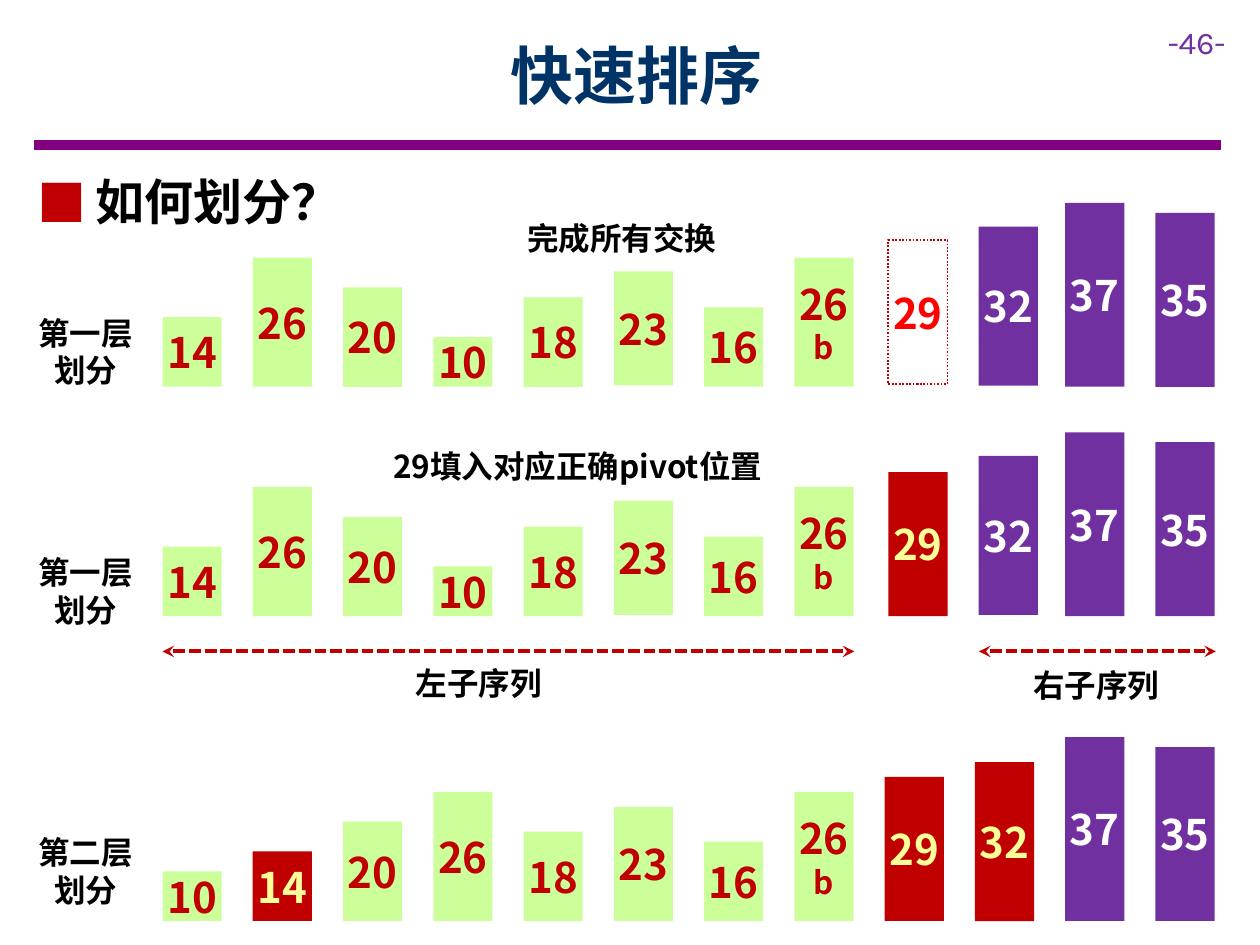
from lxml import etree
from pptx import Presentation
from pptx.dml.color import RGBColor
from pptx.enum.dml import MSO_LINE
from pptx.enum.shapes import MSO_CONNECTOR, MSO_SHAPE
from pptx.enum.text import MSO_ANCHOR, PP_ALIGN
from pptx.oxml.ns import qn
from pptx.util import Inches, Pt

RECTANGLE = MSO_SHAPE.RECTANGLE
STRAIGHT = MSO_CONNECTOR.STRAIGHT
LEFT, CENTER = PP_ALIGN.LEFT, PP_ALIGN.CENTER
TOP, MIDDLE = MSO_ANCHOR.TOP, MSO_ANCHOR.MIDDLE
DOTS, DASHES = MSO_LINE.ROUND_DOT, MSO_LINE.SQUARE_DOT

FONT = "Noto Sans CJK SC"
RED, PURPLE, BLACK = "C00000", "7030A0", "000000"
BAR_COLORS = {
    "left": ("CCFF99", RED),
    "right": (PURPLE, "FFFFFF"),
    "pivot": (RED, "FFFF99"),
    "hole": (None, "FF0000"),
}
BAR_WIDTH, BAR_LEFT, BAR_LAST = 0.47, 1.29, 9.17
BAR_STEP = (BAR_LAST - BAR_LEFT) / 11
UNIT_HEIGHT = 1.38 / 35

FIRST_LEFT = [(value, "left") for value in ("14", "26", "20", "10", "18", "23", "16", "26b")]
FIRST_RIGHT = [(value, "right") for value in ("32", "37", "35")]
SECOND = [
    ("10", "left"), ("14", "pivot"), ("20", "left"), ("26", "left"),
    ("18", "left"), ("23", "left"), ("16", "left"), ("26b", "left"),
    ("29", "pivot"), ("32", "pivot"), ("37", "right"), ("35", "right"),
]
NUDGES = {5: (0, -0.01), 8: (0.03, 0), 9: (0.03, -0.01)}
ROWS = [
    (3.07, FIRST_LEFT + [("29", "hole")] + FIRST_RIGHT, {**NUDGES, 8: (0.03, -0.02)}),
    (4.89, FIRST_LEFT + [("29", "pivot")] + FIRST_RIGHT, NUDGES),
    (7.31, SECOND, {}),
]
ROW_LABELS = [("第一层", 2.44), ("第一层", 4.34), ("第二层", 6.56)]


def color(value):
    """Turn a hex string into a colour."""
    return RGBColor.from_string(value)


class SlideBuilder:
    """Hold the text style and the slide being filled."""

    def __init__(self, slide):
        """Keep the slide and the default text format."""
        self.slide = slide
        self.style = {"name": FONT, "size": Pt(18), "bold": True}

    def fill_text(self, frame, lines, ink, align=LEFT, bullet=None, **changes):
        """Add one paragraph for each line of text and its size."""
        for index, (text, size) in enumerate(lines):
            para = frame.add_paragraph() if index else frame.paragraphs[0]
            para.alignment = align
            if bullet:
                self.add_bullet(para, bullet)
            span = para.add_run()
            span.text = text
            values = {**self.style, "size": Pt(size), **changes}
            for name, value in values.items():
                setattr(span.font, name, value)
            span.font.color.rgb = color(ink)
            east = etree.SubElement(span.font._element, qn("a:ea"))
            east.set("typeface", values["name"])

    def add_bullet(self, para, ink):
        """Give a paragraph a coloured square bullet."""
        properties = para._p.get_or_add_pPr()
        properties.set("marL", str(Inches(0.46)))
        properties.set("indent", str(-Inches(0.46)))
        tint = etree.SubElement(properties, qn("a:buClr"))
        etree.SubElement(tint, qn("a:srgbClr")).set("val", ink)
        etree.SubElement(properties, qn("a:buFont")).set("typeface", FONT)
        etree.SubElement(properties, qn("a:buChar")).set("char", "■")

    def text(self, place, lines, ink=BLACK, wrap=True, anchor=TOP, **options):
        """Add a text box."""
        box = self.slide.shapes.add_textbox(*map(Inches, place))
        box.text_frame.word_wrap = wrap
        box.text_frame.vertical_anchor = anchor
        self.fill_text(box.text_frame, lines, ink, **options)

    def bar(self, left, bottom, label, kind):
        """Add a bar whose height follows its number."""
        number, suffix = label[:2], label[2:]
        height = int(number) * UNIT_HEIGHT
        place = (left, bottom - height, BAR_WIDTH, height)
        shape = self.slide.shapes.add_shape(RECTANGLE, *map(Inches, place))
        shape.shadow.inherit = False
        fill, ink = BAR_COLORS[kind]
        if fill:
            shape.fill.solid()
            shape.fill.fore_color.rgb = color(fill)
            shape.line.fill.background()
        else:
            shape.fill.background()
            shape.line.color.rgb = color(RED)
            shape.line.width = Pt(1)
            shape.line.dash_style = DOTS
        frame = shape.text_frame
        layout = {"margin_left": 0, "margin_right": 0, "margin_top": Inches(0.1),
                  "margin_bottom": Inches(0.1), "vertical_anchor": MIDDLE, "word_wrap": True}
        for name, value in layout.items():
            setattr(frame, name, value)
        lines = [(number, 24)] + ([(suffix, 18)] if suffix else [])
        self.fill_text(frame, lines, ink, CENTER)

    def row(self, bottom, bars, nudges):
        """Add a row of evenly spaced bars."""
        for index, (label, kind) in enumerate(bars):
            across, down = nudges.get(index, (0, 0))
            self.bar(BAR_LEFT + index * BAR_STEP + across, bottom + down, label, kind)

    def line(self, start, end, height, ink, width, arrows=False):
        """Add a horizontal rule or a dashed double arrow."""
        ends = map(Inches, (start, height, end, height))
        connector = self.slide.shapes.add_connector(STRAIGHT, *ends)
        connector.line.color.rgb = color(ink)
        connector.line.width = Pt(width)
        if arrows:
            connector.line.dash_style = DASHES
            outline = connector.line._get_or_add_ln()
            for tag in ("a:headEnd", "a:tailEnd"):
                etree.SubElement(outline, qn(tag)).set("type", "stealth")
        etree.SubElement(connector._element.spPr, qn("a:effectLst"))


def main():
    """Build the quicksort slide."""
    deck = Presentation()
    deck.slide_width, deck.slide_height = Inches(10), Inches(7.5)
    page = SlideBuilder(deck.slides.add_slide(deck.slide_layouts[6]))

    page.line(0.27, 9.69, 1.15, "800080", 6)
    page.text((9.17, 0.13, 0.83, 0.4), [("-46-", 18)], PURPLE, name="Karla", bold=False)
    page.text((0.9, 0.09, 8.31, 1), [("快速排序", 36)], "003366", anchor=MIDDLE, align=CENTER)
    page.text((0.2, 1.31, 9.54, 0.57), [("如何划分？", 28)], bullet=RED)

    for bottom, bars, nudges in ROWS:
        page.row(bottom, bars, nudges)
    for label, top in ROW_LABELS:
        page.text((0.2, top, 0.96, 0.71), [(label, 18), ("划分", 18)], wrap=False, align=CENTER)

    for start, end in ((1.29, 6.78), (7.77, 9.65)):
        page.line(start, end, 5.17, RED, 2.25, arrows=True)
    page.text((3.2, 5.22, 1.21, 0.4), [("左子序列", 18)], wrap=False)
    page.text((8.1, 5.24, 1.21, 0.4), [("右子序列", 18)], wrap=False)
    page.text((3.5, 1.69, 2.87, 0.4), [("完成所有交换", 18)], align=CENTER)
    page.text((2.86, 3.5, 3.45, 0.4), [("29填入对应正确pivot位置", 18)], align=CENTER)

    deck.save("out.pptx")


if __name__ == "__main__":
    main()
